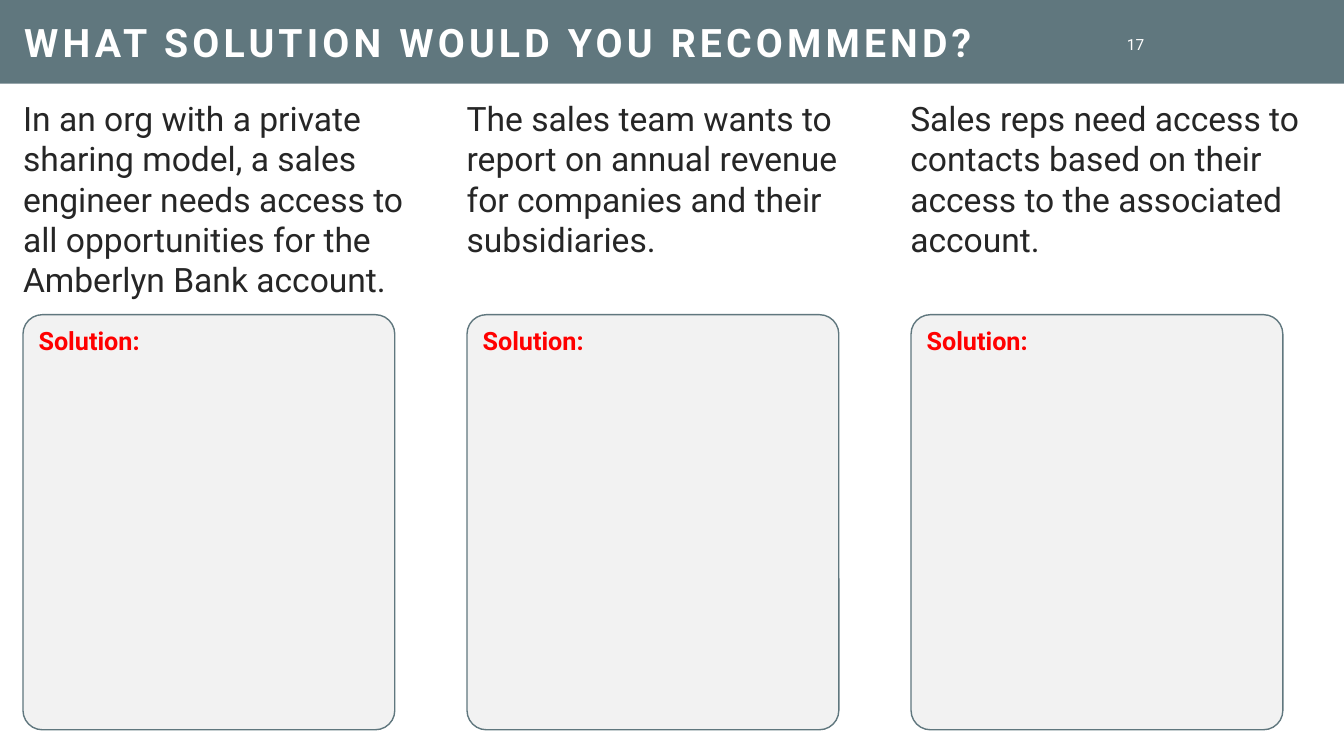
from pptx import Presentation
from pptx.dml.color import RGBColor
from pptx.enum.shapes import MSO_SHAPE as Shape
from pptx.enum.text import MSO_ANCHOR as Anchor, MSO_AUTO_SIZE as AutoSize, PP_ALIGN as Align
from pptx.oxml.ns import qn
from pptx.util import Cm, Pt

SLATE, PALE, INK, RED, WHITE = "60777E", "F2F2F2", "262626", "FF0000", "FFFFFF"
COMPARISON_LAYOUT = 4
SCENARIOS = [
    "In an org with a private sharing model, a sales engineer needs access to "
    "all opportunities for the Amberlyn Bank account.",
    "The sales team wants to report on annual revenue for companies and their subsidiaries.",
    "Sales reps need access to contacts based on their access to the associated account.",
]
COLUMN_LEFT, COLUMN_STEP = 0.33, 11.18
CARD_LEFT, CARD_STEP = 0.58, 11.19


def colour(hex_value):
    return RGBColor.from_string(hex_value)


def place(item, left, top, width, height):
    item.left, item.top, item.width, item.height = Cm(left), Cm(top), Cm(width), Cm(height)


def write(item, text, size, ink, bold=False, anchor=Anchor.TOP, align=Align.LEFT,
          top_inset=0.13, bottom_inset=0.13, line_spacing=1.0, tracking=None):
    """Put one formatted run into the item's first paragraph."""
    frame = item.text_frame
    frame.word_wrap = True
    frame.auto_size = AutoSize.NONE
    frame.vertical_anchor = anchor
    frame.margin_left = frame.margin_right = Cm(0.25)
    frame.margin_top, frame.margin_bottom = Cm(top_inset), Cm(bottom_inset)
    paragraph = frame.paragraphs[0]
    paragraph.alignment = align
    paragraph.space_before = Pt(0)
    paragraph.line_spacing = line_spacing
    run = paragraph.add_run()
    run.text = text
    run.font.name = "Roboto"
    run.font.size = Pt(size)
    run.font.bold = bold
    run.font.color.rgb = colour(ink)
    if tracking:
        run._r.get_or_add_rPr().set("spc", str(tracking * 100))
    return paragraph


def add_filled_shape(slide, preset, box, fill, line=None):
    shape = slide.shapes.add_shape(preset, *map(Cm, box))
    shape.shadow.inherit = False
    shape.fill.solid()
    shape.fill.fore_color.rgb = colour(fill)
    if line:
        shape.line.color.rgb = colour(line)
        shape.line.width = Pt(1)
    else:
        shape.line.fill.background()
    return shape


def add_header(slide, heading, number):
    band = add_filled_shape(slide, Shape.RECTANGLE, (0, 0, 33.87, 2.11), SLATE)
    slide.shapes.element.insert(2, band.element)  # behind the title
    title = slide.shapes.title
    place(title, 0.36, 0, 27.38, 2.08)
    write(title, heading, 28, WHITE, bold=True, anchor=Anchor.MIDDLE,
          top_inset=0.38, line_spacing=0.8, tracking=3)
    page = slide.shapes.add_textbox(Cm(27.74), Cm(0.84), Cm(1.35), Cm(0.56))
    write(page, number, 11, WHITE, anchor=Anchor.MIDDLE, align=Align.RIGHT,
          top_inset=0, bottom_inset=0)


def fill_scenario(body, column, scenario):
    place(body, COLUMN_LEFT + column * COLUMN_STEP, 2.34, 10.92, 16.54)
    properties = write(body, scenario, 24, INK)._p.get_or_add_pPr()
    properties.set("marL", "0")
    properties.set("indent", "0")
    properties.append(properties.makeelement(qn("a:buNone"), {}))


def add_solution_card(slide, column):
    box = (CARD_LEFT + column * CARD_STEP, 7.93, 9.37, 10.46)
    card = add_filled_shape(slide, Shape.ROUNDED_RECTANGLE, box, PALE, SLATE)
    card.adjustments[0] = 0.052
    write(card, "Solution:", 18, RED, bold=True)


def main():
    deck = Presentation()
    deck.slide_width, deck.slide_height = Cm(33.87), Cm(19.05)
    slide = deck.slides.add_slide(deck.slide_layouts[COMPARISON_LAYOUT])
    add_header(slide, "WHAT SOLUTION WOULD YOU RECOMMEND?", "17")
    _, *bodies, spare = slide.placeholders
    spare.element.getparent().remove(spare.element)
    for column, (body, scenario) in enumerate(zip(bodies, SCENARIOS)):
        fill_scenario(body, column, scenario)
        add_solution_card(slide, column)
    deck.save("out.pptx")


if __name__ == "__main__":
    main()
